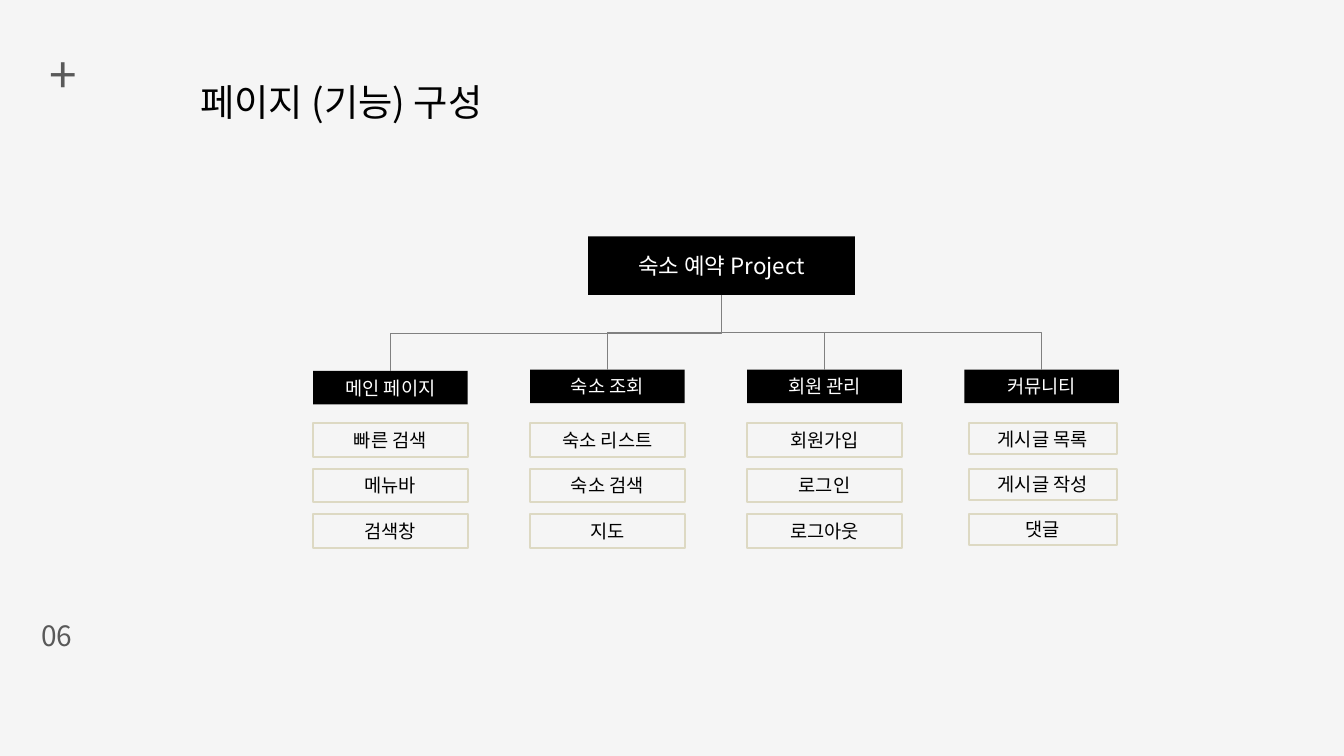
from pptx import Presentation
from pptx.dml.color import RGBColor
from pptx.enum.shapes import MSO_CONNECTOR, MSO_SHAPE
from pptx.enum.text import MSO_ANCHOR, MSO_AUTO_SIZE, PP_ALIGN
from pptx.oxml.ns import qn
from pptx.util import Pt
from lxml.etree import SubElement

FONT = "Noto Sans CJK KR"
MENUS = [
    ("메인 페이지", ["빠른 검색", "메뉴바", "검색창"]),
    ("숙소 조회", ["숙소 리스트", "숙소 검색", "지도"]),
    ("회원 관리", ["회원가입", "로그인", "로그아웃"]),
    ("커뮤니티", ["게시글 목록", "게시글 작성", "댓글"]),
]


def tint(code):
    return RGBColor.from_string(code)


def write(frame, text, size, color, align=PP_ALIGN.CENTER):
    para = frame.paragraphs[0]
    para.alignment = align
    run = para.add_run()
    run.text = text
    run.font.name = FONT
    run.font.size = Pt(size)
    run.font.color.rgb = tint(color)
    SubElement(run.font._element, qn("a:ea")).set("typeface", FONT)
    return para


def place(shape, box):
    shape.left, shape.top, shape.width, shape.height = map(Pt, box)


def add_title(slide, box, text):
    title = slide.shapes.title
    place(title, box)
    frame = title.text_frame
    frame.word_wrap = True
    frame.vertical_anchor = MSO_ANCHOR.TOP
    frame.auto_size = MSO_AUTO_SIZE.SHAPE_TO_FIT_TEXT
    write(frame, text, 40, "000000", PP_ALIGN.LEFT).line_spacing = 1.5


def add_label(slide, box, text, size):
    frame = slide.shapes.add_textbox(*map(Pt, box)).text_frame
    frame.word_wrap = True
    write(frame, text, size, "595959")


def add_node(slide, box, text, size, color, fill=None, line=None):
    node = slide.shapes.add_shape(MSO_SHAPE.RECTANGLE, *map(Pt, box))
    node.shadow.inherit = False
    if fill:
        node.fill.solid()
        node.fill.fore_color.rgb = tint(fill)
    else:
        node.fill.background()
    if line:
        node.line.color.rgb = tint(line)
        node.line.width = Pt(2.25)
    else:
        node.line.fill.background()
    frame = node.text_frame
    frame.word_wrap = True
    frame.vertical_anchor = MSO_ANCHOR.MIDDLE
    write(frame, text, size, color)
    return node


def add_link(slide, start, end):
    x1, y1 = start.left + start.width // 2, start.top + start.height
    x2, y2 = end.left + end.width // 2, end.top
    link = slide.shapes.add_connector(MSO_CONNECTOR.ELBOW, x1, y1, x2, y2)
    link.begin_connect(start, 2)
    link.end_connect(end, 0)
    link.line.color.rgb = tint("808080")
    link.line.width = Pt(0.75)
    wide, high = abs(x2 - x1), y2 - y1
    link.left, link.top = (x1 + x2 - high) // 2, (y1 + y2 - wide) // 2
    link.width, link.height = high, wide
    props = link._element.spPr
    frame = props.find(qn("a:xfrm"))
    right = x2 > x1
    frame.set("rot", str((270 if right else 90) * 60000))
    frame.set("flipH", "1" if right else "0")
    SubElement(props, qn("a:effectLst"))


def add_menu(slide, box, head, items, inset, cell):
    left, top, width, height = box
    node = add_node(slide, (left, top, width, 36), head, 20, "FFFFFF", fill="000000")
    first = 453.6
    step = (height + top - first - 36) / (len(items) - 1)
    for row, item in enumerate(items):
        spot = (left + inset, first + row * step, *cell)
        add_node(slide, spot, item, 20, "000000", line="DDD9C3")
    return node


def add_tree(slide, box):
    left, top, width, height = box
    root = add_node(slide, (630, top, 286, 62.6), "숙소 예약 Project", 24, "FFFFFF", fill="000000")
    wide = 165.6
    step = (width - wide) / (len(MENUS) - 1)
    for col, (head, items) in enumerate(MENUS):
        last = col == len(MENUS) - 1
        y = 397.4 if col == 0 else 396
        spot = (left + col * step, y, wide, top + height - y)
        inset, cell = (5, (158.4, 33.1)) if last else (0, (wide, 36))
        add_link(slide, root, add_menu(slide, spot, head, items, inset, cell))


def main():
    deck = Presentation()
    deck.slide_width, deck.slide_height = Pt(1440), Pt(810)
    slide = deck.slides.add_slide(deck.slide_layouts[5])
    slide.background.fill.solid()
    slide.background.fill.fore_color.rgb = tint("F5F5F5")
    add_label(slide, (18, 658.8, 85.7, 54), "06", 30)
    add_label(slide, (38.9, 43.2, 58.3, 96.5), "+", 53)
    add_title(slide, (207.4, 56.9, 480, 68.4), "페이지 (기능) 구성")
    add_tree(slide, (335.5, 253.4, 863.3, 333.4))
    deck.save("out.pptx")


if __name__ == "__main__":
    main()
